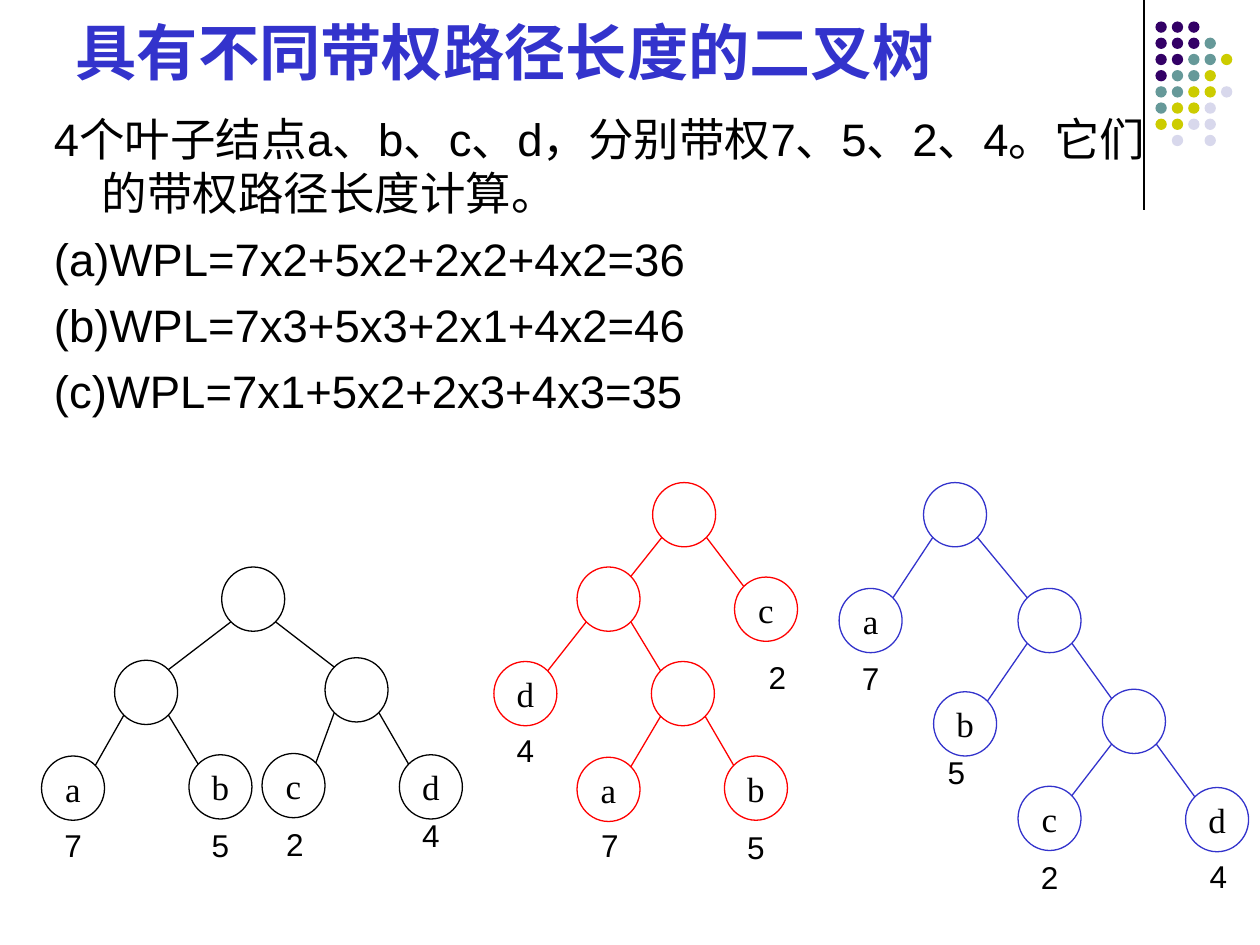
from dataclasses import dataclass
from math import sqrt
from typing import Optional

from lxml.etree import SubElement
from pptx import Presentation
from pptx.dml.color import RGBColor
from pptx.enum.shapes import MSO_CONNECTOR, MSO_SHAPE
from pptx.enum.text import MSO_ANCHOR, MSO_AUTO_SIZE, PP_ALIGN
from pptx.oxml.ns import qn
from pptx.util import Inches, Pt


@dataclass(frozen=True)
class Theme:
    ink: str = "000000"
    red: str = "FF0000"
    blue: str = "3333CC"
    purple: str = "330066"
    teal: str = "669999"
    olive: str = "CCCC00"
    lavender: str = "D8D8EC"
    sans: str = "Arial"
    serif: str = "Times New Roman"
    title_size: float = 35
    body_size: float = 26
    label_size: float = 20
    weight_size: float = 18
    line_width: float = 0.75


@dataclass(frozen=True)
class Node:
    """Tree node; x and y are its top left within the tree's box.

    The weight's offset is measured from that same corner.
    """
    x: float
    y: float
    left: Optional["Node"] = None
    right: Optional["Node"] = None
    label: str = ""
    weight_dx: float = 0.08
    weight_dy: float = 0.51


THEME = Theme()
NODE_W, NODE_H = 0.5, 0.51
WEIGHT_W, WEIGHT_H = 0.34, 0.4
WEIGHTS = {"a": "7", "b": "5", "c": "2", "d": "4"}

TITLE = "具有不同带权路径长度的二叉树"
BODY = [
    "4个叶子结点a、b、c、d，分别带权7、5、2、4。它们的带权路径长度计算。",
    "(a)WPL=7x2+5x2+2x2+4x2=36",
    "(b)WPL=7x3+5x3+2x1+4x2=46",
    "(c)WPL=7x1+5x2+2x3+4x3=35",
]

DOT_SIZE = 0.09
DOT_COLOURS = {"P": THEME.purple, "T": THEME.teal,
               "Y": THEME.olive, "L": THEME.lavender}
DOT_ROWS = ["PPP", "PPPT", "PPTTY", "PTTY", "TTYYL", "TYYL", "YYLL", " L L"]

BALANCED_TREE = Node(
    1.43, 0,
    Node(0.58, 0.74,
         Node(0, 1.5, label="a"),
         Node(1.17, 1.49, label="b", weight_dy=0.52)),
    Node(2.25, 0.72,
         Node(1.75, 1.48, label="c", weight_dx=0.09, weight_dy=0.52),
         Node(2.84, 1.49, label="d", weight_dy=0.44)))
WORST_TREE = Node(
    1.26, 0,
    Node(0.66, 0.67,
         Node(0, 1.42, label="d", weight_dy=0.5),
         Node(1.25, 1.42,
              Node(0.66, 2.18, label="a", weight_dx=0.09, weight_dy=0.5),
              Node(1.83, 2.17, label="b", weight_dy=0.52))),
    Node(1.91, 0.75, label="c", weight_dx=0.17, weight_dy=0.59))
HUFFMAN_TREE = Node(
    0.67, 0,
    Node(0, 0.84, label="a"),
    Node(1.42, 0.84,
         Node(0.75, 1.66, label="b", weight_dx=0.01, weight_dy=0.44),
         Node(2.09, 1.64,
              Node(1.42, 2.41, label="c", weight_dy=0.52),
              Node(2.75, 2.42, label="d", weight_dx=0.09, weight_dy=0.5))))


def rgb(colour):
    return RGBColor.from_string(colour)


def style_font(paragraph, name, size, colour=THEME.ink, bold=False):
    font = paragraph.font
    font.name, font.size, font.bold = name, Pt(size), bold
    font.color.rgb = rgb(colour)


def write_centred(frame, text, name, size):
    frame.word_wrap = False
    frame.vertical_anchor = MSO_ANCHOR.MIDDLE
    paragraph = frame.paragraphs[0]
    paragraph.text = text
    paragraph.alignment = PP_ALIGN.CENTER
    style_font(paragraph, name, size)


def add_line(shapes, x1, y1, x2, y2, colour):
    line = shapes.add_connector(MSO_CONNECTOR.STRAIGHT, Inches(x1), Inches(y1),
                                Inches(x2), Inches(y2))
    line.line.color.rgb = rgb(colour)
    line.line.width = Pt(THEME.line_width)
    SubElement(line._element.spPr, qn("a:effectLst"))


def add_ellipse(shapes, x, y, w, h):
    ellipse = shapes.add_shape(MSO_SHAPE.OVAL, Inches(x), Inches(y),
                               Inches(w), Inches(h))
    ellipse.shadow.inherit = False
    return ellipse


def add_dot_pattern(slide, x, y, w, h):
    dots = slide.shapes.add_group_shape().shapes
    step_x = (w - DOT_SIZE) / (max(map(len, DOT_ROWS)) - 1)
    step_y = (h - DOT_SIZE) / (len(DOT_ROWS) - 1)
    for row, codes in enumerate(DOT_ROWS):
        for column, code in enumerate(codes):
            if code in DOT_COLOURS:
                dot = add_ellipse(dots, x + column * step_x, y + row * step_y,
                                  DOT_SIZE, DOT_SIZE)
                dot.fill.solid()
                dot.fill.fore_color.rgb = rgb(DOT_COLOURS[code])
                dot.line.fill.background()


def place_title(slide, x, y, w, h):
    title = slide.shapes.title
    title.left, title.top = Inches(x), Inches(y)
    title.width, title.height = Inches(w), Inches(h)
    frame = title.text_frame
    frame.text = TITLE
    frame.auto_size = MSO_AUTO_SIZE.NONE
    frame.vertical_anchor = MSO_ANCHOR.BOTTOM
    paragraph = frame.paragraphs[0]
    paragraph.alignment = PP_ALIGN.LEFT
    style_font(paragraph, THEME.sans, THEME.title_size, THEME.blue, bold=True)


def add_body(slide, x, y, w, h):
    frame = slide.shapes.add_textbox(Inches(x), Inches(y), Inches(w),
                                     Inches(h)).text_frame
    frame.word_wrap = True
    frame.text = "\n".join(BODY)
    for paragraph in frame.paragraphs:
        paragraph.space_before = Pt(6.5)
        style_font(paragraph, THEME.sans, THEME.body_size)
        properties = paragraph._p.get_or_add_pPr()
        properties.set("marL", str(Inches(0.38)))
        properties.set("indent", str(Inches(-0.38)))


def add_tree(slide, x, y, root, colour):
    add_subtree(slide.shapes.add_group_shape().shapes, x, y, root, colour)


def add_subtree(shapes, x, y, node, colour):
    """Draw a node, its weight if it is a leaf, and all below it."""
    circle = add_ellipse(shapes, x + node.x, y + node.y, NODE_W, NODE_H)
    circle.fill.background()
    circle.line.color.rgb = rgb(colour)
    circle.line.width = Pt(THEME.line_width)
    if node.label:
        write_centred(circle.text_frame, node.label, THEME.serif, THEME.label_size)
        weight = shapes.add_textbox(
            Inches(x + node.x + node.weight_dx), Inches(y + node.y + node.weight_dy),
            Inches(WEIGHT_W), Inches(WEIGHT_H))
        write_centred(weight.text_frame, WEIGHTS[node.label], THEME.sans,
                      THEME.weight_size)

    # Edges meet the circles on their diagonals.
    reach_x, reach_y = NODE_W / sqrt(8), NODE_H / sqrt(8)
    centre_x, centre_y = x + NODE_W / 2, y + NODE_H / 2
    for child, side in ((node.left, -1), (node.right, 1)):
        if child:
            add_line(shapes,
                     centre_x + node.x + side * reach_x, centre_y + node.y + reach_y,
                     centre_x + child.x - side * reach_x, centre_y + child.y - reach_y,
                     colour)
            add_subtree(shapes, x, y, child, colour)


def main():
    presentation = Presentation()
    presentation.slide_width, presentation.slide_height = Inches(10), Inches(7.5)
    slide = presentation.slides.add_slide(presentation.slide_layouts[5])
    add_line(slide.shapes, 9.08, 0, 9.08, 1.67, THEME.ink)
    add_dot_pattern(slide, 9.17, 0.17, 0.61, 0.99)
    place_title(slide, 0.5, 0.13, 8.42, 0.62)
    add_body(slide, 0.33, 0.83, 9, 2.58)
    add_tree(slide, 0.33, 4.5, BALANCED_TREE, THEME.ink)
    add_tree(slide, 3.92, 3.83, WORST_TREE, THEME.red)
    add_tree(slide, 6.66, 3.83, HUFFMAN_TREE, THEME.blue)
    presentation.save("out.pptx")


if __name__ == "__main__":
    main()
